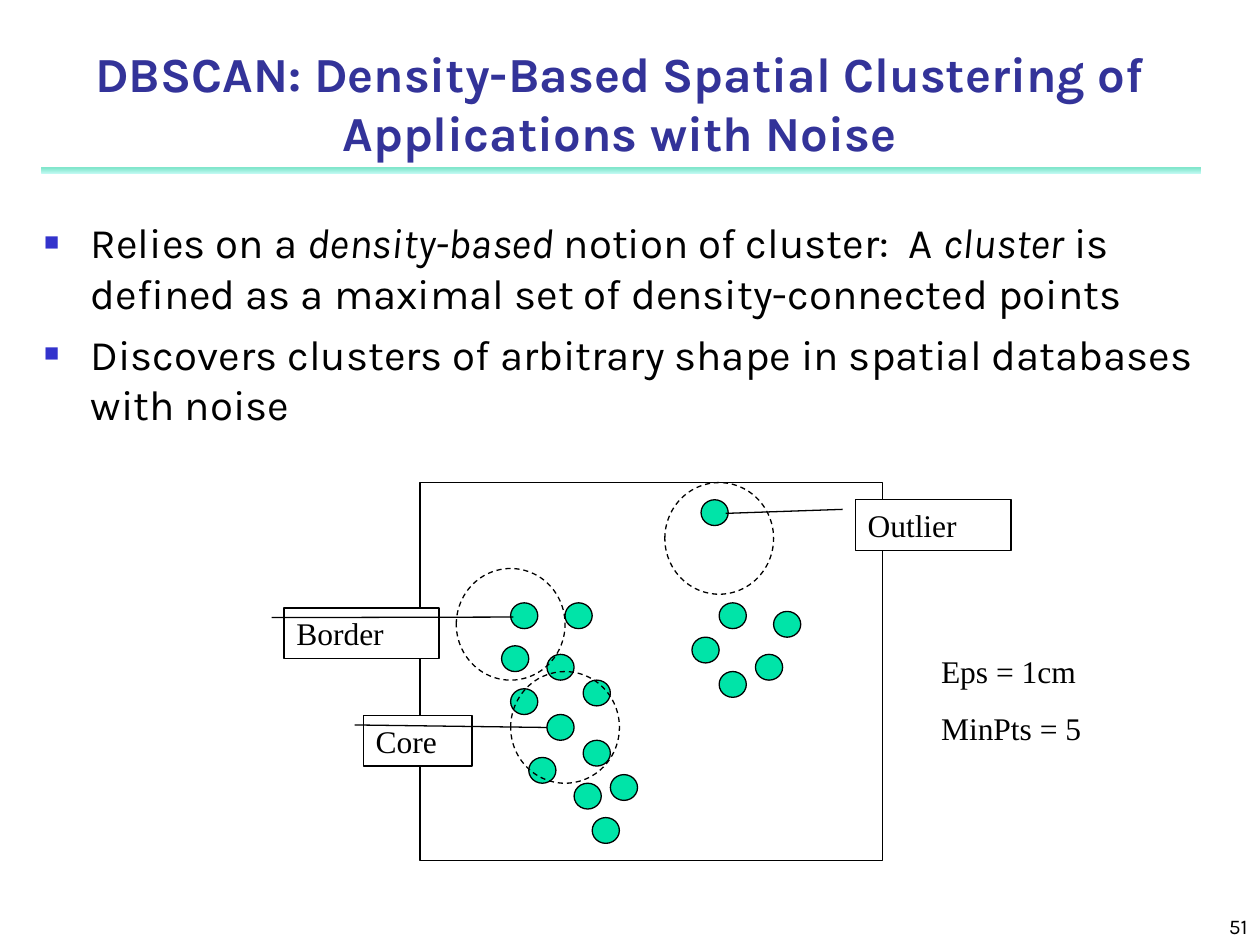
from lxml import etree
from pptx import Presentation
from pptx import util as u
from pptx.dml import color
from pptx.enum import shapes, text
from pptx.oxml import ns

HEADING, BODY, SERIF = "Karla", "Karla", "Times New Roman"
INK, NAVY, BULLET, GREEN = "000000", "333399", "3333CC", "00E4A8"
COLUMNS, ROWS = 51, 44
DOT, REACH = (3, 3), (12, 13)

DOTS = [
    (10, 14), (9, 19), (14, 20), (16, 14), (18, 23), (10, 24), (14, 27),
    (12, 32), (17, 35), (19, 39), (18, 30), (21, 34), (31, 2), (33, 14),
    (30, 18), (37, 20), (39, 15), (33, 22),
]
NEIGHBOURHOODS = [(4, 10), (10, 22), (27, 0)]
CALLOUTS = [
    ("Core", (-6.25, 27.1), (12, 5.9), (0.24, 1.69)),
    ("Border", (-15, 14.6), (17.1, 5.9), (0.18, 1.48)),
    ("Outlier", (48, 2), (17.2, 5.9), (0.27, -0.83)),
]
POINTS = [
    [("Relies on a ", False), ("density-based", True),
     (" notion of cluster:  A ", False), ("cluster", True),
     (" is defined as a maximal set of density-connected points", False)],
    [("Discovers clusters of arbitrary shape in spatial databases with noise", False)],
]


def paint(value):
    return color.RGBColor.from_string(value)


def inches(box):
    return [u.Inches(length) for length in box]


def cells(box, start, size):
    left, top, width, height = box
    column, row = width / COLUMNS, height / ROWS
    return (left + start[0] * column, top + start[1] * row,
            size[0] * column, size[1] * row)


def style(font, size, name, value, bold=False, italic=False):
    font.size, font.name = u.Pt(size), name
    font.color.rgb = paint(value)
    font.bold, font.italic = bold, italic


def add_figure(page, kind, box, fill=None):
    figure = page.shapes.add_shape(kind, *inches(box))
    figure.shadow.inherit = False
    if fill:
        figure.fill.solid()
        figure.fill.fore_color.rgb = paint(fill)
    else:
        figure.fill.background()
    figure.line.color.rgb = paint(INK)
    figure.line.width = u.Pt(0.75)
    return figure


def move(holder, box):
    holder.left, holder.top, holder.width, holder.height = inches(box)
    frame = holder.text_frame
    frame.word_wrap = True
    frame.auto_size = text.MSO_AUTO_SIZE.NONE
    return frame


def add_title(page, box):
    frame = move(page.shapes.title, box)
    frame.text = "DBSCAN: Density-Based Spatial Clustering of Applications with Noise"
    frame.vertical_anchor = text.MSO_ANCHOR.BOTTOM
    para = frame.paragraphs[0]
    para.alignment = text.PP_ALIGN.CENTER
    style(para.runs[0].font, 28, HEADING, NAVY, bold=True)


def add_band(page, box):
    band = page.shapes.add_shape(shapes.MSO_SHAPE.RECTANGLE, *inches(box))
    band.shadow.inherit = False
    band.line.fill.background()
    band.fill.gradient()
    band.fill.gradient_angle = 90
    for stop, value, place in zip(band.fill.gradient_stops, ("8FF9EF", "00CE98"), (0, 1)):
        stop.color.rgb = paint(value)
        stop.position = place
    for tint in band._element.spPr.iter(ns.qn("a:srgbClr")):
        etree.SubElement(tint, ns.qn("a:alpha"), val="50000")


def add_bullet(para):
    settings = para._p.get_or_add_pPr()
    indent = u.Inches(0.37)
    settings.set("marL", str(indent))
    settings.set("indent", str(-indent))
    tint = etree.SubElement(settings, ns.qn("a:buClr"))
    etree.SubElement(tint, ns.qn("a:srgbClr"), val=BULLET)
    etree.SubElement(settings, ns.qn("a:buSzPct"), val="60000")
    etree.SubElement(settings, ns.qn("a:buChar"), char="■")


def add_points(page, box):
    frame = move(page.placeholders[1], box)
    for index, pieces in enumerate(POINTS):
        para = frame.add_paragraph() if index else frame.paragraphs[0]
        add_bullet(para)
        para.space_before = u.Pt(6 if index else 0)
        for words, italic in pieces:
            span = para.add_run()
            span.text = words
            style(span.font, 24, BODY, INK, italic=italic)


def add_callout(page, box, words, target):
    callout = add_figure(page, shapes.MSO_SHAPE.LINE_CALLOUT_1, box, "FFFFFF")
    for index, value in enumerate((0.19, -0.08, *target)):
        callout.adjustments[index] = value
    frame = callout.text_frame
    frame.text = words
    frame.vertical_anchor = text.MSO_ANCHOR.TOP
    para = frame.paragraphs[0]
    para.alignment = text.PP_ALIGN.LEFT
    style(para.runs[0].font, 18, SERIF, INK)


def add_text(page, box, lines, size, name, align, anchor, gap=0):
    frame = move(page.shapes.add_textbox(*inches(box)), box)
    frame.text = "\n".join(lines)
    frame.vertical_anchor = anchor
    for index, para in enumerate(frame.paragraphs):
        para.alignment = align
        para.space_before = u.Pt(gap if index else 0)
        style(para.runs[0].font, size, name, INK)


def add_scatter(page, box):
    oval = shapes.MSO_SHAPE.OVAL
    for start in DOTS:
        add_figure(page, oval, cells(box, start, DOT), GREEN)
    add_figure(page, shapes.MSO_SHAPE.RECTANGLE, box)
    for start in NEIGHBOURHOODS:
        ring = add_figure(page, oval, cells(box, start, REACH))
        ring.line.dash_style = 4
    for words, start, size, target in CALLOUTS:
        add_callout(page, cells(box, start, size), words, target)
    add_text(page, cells(box, (56.1, 19), (25, 12.6)), ["Eps = 1cm", "MinPts = 5"],
             18, SERIF, text.PP_ALIGN.LEFT, text.MSO_ANCHOR.TOP, 11.2)


def main():
    deck = Presentation()
    width, height = 10, 7.5
    deck.slide_width, deck.slide_height = inches((width, height))
    page = deck.slides.add_slide(deck.slide_layouts[1])
    add_band(page, (0.033 * width, 1.33, 0.92 * width, 0.05))
    add_title(page, (0.25, 0.25, 9.33, 1.08))
    add_points(page, (0.25, 1.67, 9.33, 5.5))
    add_scatter(page, (width / 3, 3.83, 3.67, 0.4 * height))
    add_text(page, (7.92, 7.08, 2.08, 0.42), ["51"], 12, BODY,
             text.PP_ALIGN.RIGHT, text.MSO_ANCHOR.BOTTOM)
    deck.save("out.pptx")


if __name__ == "__main__":
    main()
